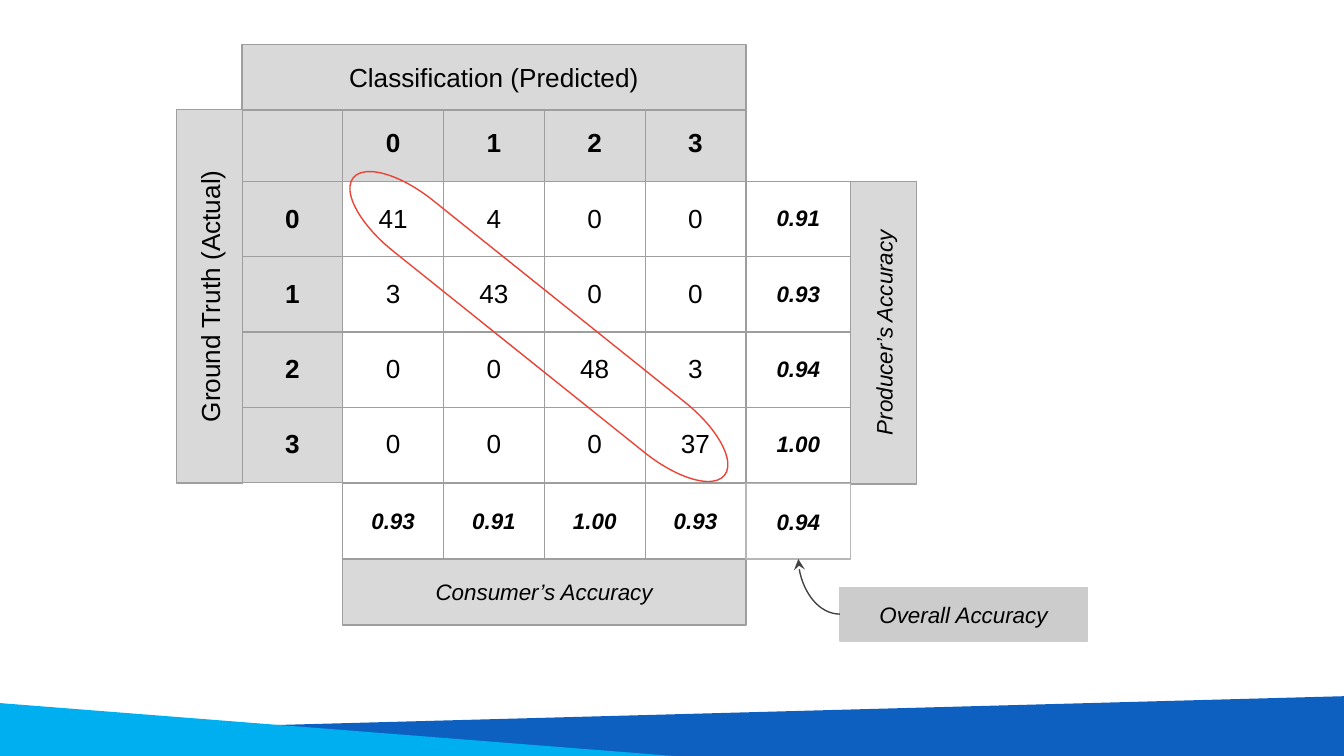
from lxml import etree
from pptx import Presentation
from pptx.dml.color import RGBColor
from pptx.enum.shapes import MSO_CONNECTOR as CONNECTOR, MSO_SHAPE as SHAPE
from pptx.enum.text import MSO_ANCHOR as ANCHOR, MSO_AUTO_SIZE as AUTO_SIZE, PP_ALIGN as ALIGN
from pptx.oxml.ns import qn
from pptx.util import Inches, Pt

GRAY, BORDER, BLACK = "D9D9D9", "9E9E9E", "000000"
LINE_WIDTH = Pt(0.75)
COL, ROW, BAND = 0.75, 0.56, 0.49
ACCURACY_COL = 0.78
GRID_X, GRID_Y = 1.8, 0.79
VALUES_X = GRID_X + COL
VALUES_RIGHT = VALUES_X + 4 * COL
TOTALS_Y = 3.6
COUNTS = [[41, 4, 0, 0], [3, 43, 0, 0], [0, 0, 48, 3], [0, 0, 0, 37]]
PRODUCER = ["0.91", "0.93", "0.94", "1.00"]
CONSUMER = ["0.93", "0.91", "1.00", "0.93"]


def color(hex_code):
    return RGBColor.from_string(hex_code)


def set_fill(fill, hex_code):
    if hex_code:
        fill.solid()
        fill.fore_color.rgb = color(hex_code)
    else:
        fill.background()


def write_text(frame, text, size, bold=False, italic=False):
    frame.text = text
    paragraph = frame.paragraphs[0]
    paragraph.alignment = ALIGN.CENTER
    for run in paragraph.runs:
        font = run.font
        font.name, font.size = "Arial", Pt(size)
        font.bold, font.italic = bold, italic
        font.color.rgb = color(BLACK)


def set_margins(target):
    target.margin_left = target.margin_right = Inches(0.1)
    target.margin_top = target.margin_bottom = Inches(0.1)


def add_borders(cell):
    properties = cell._tc.get_or_add_tcPr()
    for side in ("lnL", "lnR", "lnT", "lnB"):
        edge = etree.SubElement(properties, qn(f"a:{side}"), w=str(LINE_WIDTH))
        solid = etree.SubElement(edge, qn("a:solidFill"))
        etree.SubElement(solid, qn("a:srgbClr"), val=BORDER)


def add_grid(slide, x, y, rows, col_width, size, italic=False, headers=False):
    """Table of centred values; headers shades the first row and column."""
    n_rows, n_cols = len(rows), len(rows[0])
    table = slide.shapes.add_table(
        n_rows, n_cols, Inches(x), Inches(y),
        Inches(n_cols * col_width), Inches(n_rows * ROW)).table
    table.first_row = table.horz_banding = False
    for column in table.columns:
        column.width = Inches(col_width)
    for r, values in enumerate(rows):
        table.rows[r].height = Inches(ROW)
        for c, value in enumerate(values):
            cell = table.cell(r, c)
            is_header = headers and (r == 0 or c == 0)
            set_margins(cell)
            cell.vertical_anchor = ANCHOR.MIDDLE
            add_borders(cell)
            set_fill(cell.fill, GRAY if is_header else None)
            write_text(cell.text_frame, str(value), size, is_header or italic, italic)


def add_box(slide, x, y, width, height, fill=GRAY, line=BORDER, kind=SHAPE.RECTANGLE, rotation=0):
    box = slide.shapes.add_shape(kind, Inches(x), Inches(y), Inches(width), Inches(height))
    box.shadow.inherit = False
    box.rotation = rotation
    set_fill(box.fill, fill)
    box.line.color.rgb = color(line)
    box.line.width = LINE_WIDTH
    return box


def add_label(slide, text, x, y, width, height, size=12, bold=False, italic=True, **style):
    box = add_box(slide, x, y, width, height, **style)
    frame = box.text_frame
    frame.word_wrap = True
    frame.vertical_anchor = ANCHOR.MIDDLE
    set_margins(frame)
    write_text(frame, text, size, bold, italic)
    return box


def add_wedge(slide, points, fill):
    corners = [(Inches(x), Inches(y)) for x, y in points]
    builder = slide.shapes.build_freeform(*corners[0])
    builder.add_line_segments(corners[1:], close=True)
    wedge = builder.convert_to_shape()
    wedge.shadow.inherit = False
    set_fill(wedge.fill, fill)
    wedge.line.fill.background()


def add_curved_arrow(slide, label, target):
    """Arrow that leaves the label's left side and enters the target from below."""
    arrow = slide.shapes.add_connector(CONNECTOR.CURVE, 0, 0, 0, 0)
    arrow.begin_connect(label, 1)
    arrow.end_connect(target, 2)
    arrow.line.color.rgb = color("434343")
    arrow.line.width = LINE_WIDTH
    properties = arrow._element.spPr
    properties.find(qn("a:prstGeom")).set("prst", "curvedConnector2")
    etree.SubElement(properties.find(qn("a:ln")), qn("a:tailEnd"), type="stealth")
    etree.SubElement(properties, qn("a:effectLst"))


def main():
    # Widescreen page, 16:9
    presentation = Presentation()
    presentation.slide_width = Inches(10)
    presentation.slide_height = Inches(10) * 9 // 16
    slide = presentation.slides.add_slide(presentation.slide_layouts[6])

    # Footer wedges
    add_wedge(slide, [(10.02, 5.66), (10.01, 5.18), (0.02, 5.45), (0.03, 5.63)], "0E60C0")
    add_wedge(slide, [(5.2, 5.64), (-0.02, 5.23), (-0.02, 5.65)], "00AFEF")

    # Confusion matrix with its axis titles
    matrix = [["", 0, 1, 2, 3]] + [[i, *counts] for i, counts in enumerate(COUNTS)]
    add_grid(slide, GRID_X, GRID_Y, matrix, COL, 14, headers=True)
    add_label(slide, "Classification (Predicted)", GRID_X, 0.33, 5 * COL, BAND,
              size=14, italic=False)
    add_label(slide, "Ground Truth (Actual)", 0.17, 1.96, 2.78, BAND,
              size=14, italic=False, rotation=270)

    # Producer's and consumer's accuracy
    add_grid(slide, VALUES_RIGHT, GRID_Y + ROW, [[value] for value in PRODUCER],
             ACCURACY_COL, 12, italic=True)
    add_grid(slide, VALUES_X, TOTALS_Y, [CONSUMER], COL, 12, italic=True)
    add_label(slide, "Producer’s Accuracy", 5.45, 2.23, 2.25, BAND, rotation=270)
    add_label(slide, "Consumer’s Accuracy", VALUES_X, TOTALS_Y + ROW, 4 * COL, BAND)

    # Overall accuracy and its callout
    overall = add_label(slide, "0.94", VALUES_RIGHT, TOTALS_Y, ACCURACY_COL, ROW,
                        bold=True, fill=None, line="B7B7B7")
    callout = add_label(slide, "Overall Accuracy", 6.25, 4.37, 1.84, 0.4,
                        fill="CCCCCC", line="CCCCCC")
    callout.text_frame.vertical_anchor = ANCHOR.TOP
    callout.text_frame.auto_size = AUTO_SIZE.SHAPE_TO_FIT_TEXT
    add_curved_arrow(slide, callout, overall)

    # Ring around the correct predictions
    add_box(slide, 2.24, 2.19, 3.54, 0.48, fill=None, line="EA4335",
            kind=SHAPE.FLOWCHART_TERMINATOR, rotation=38.7)

    presentation.save("out.pptx")


if __name__ == "__main__":
    main()
